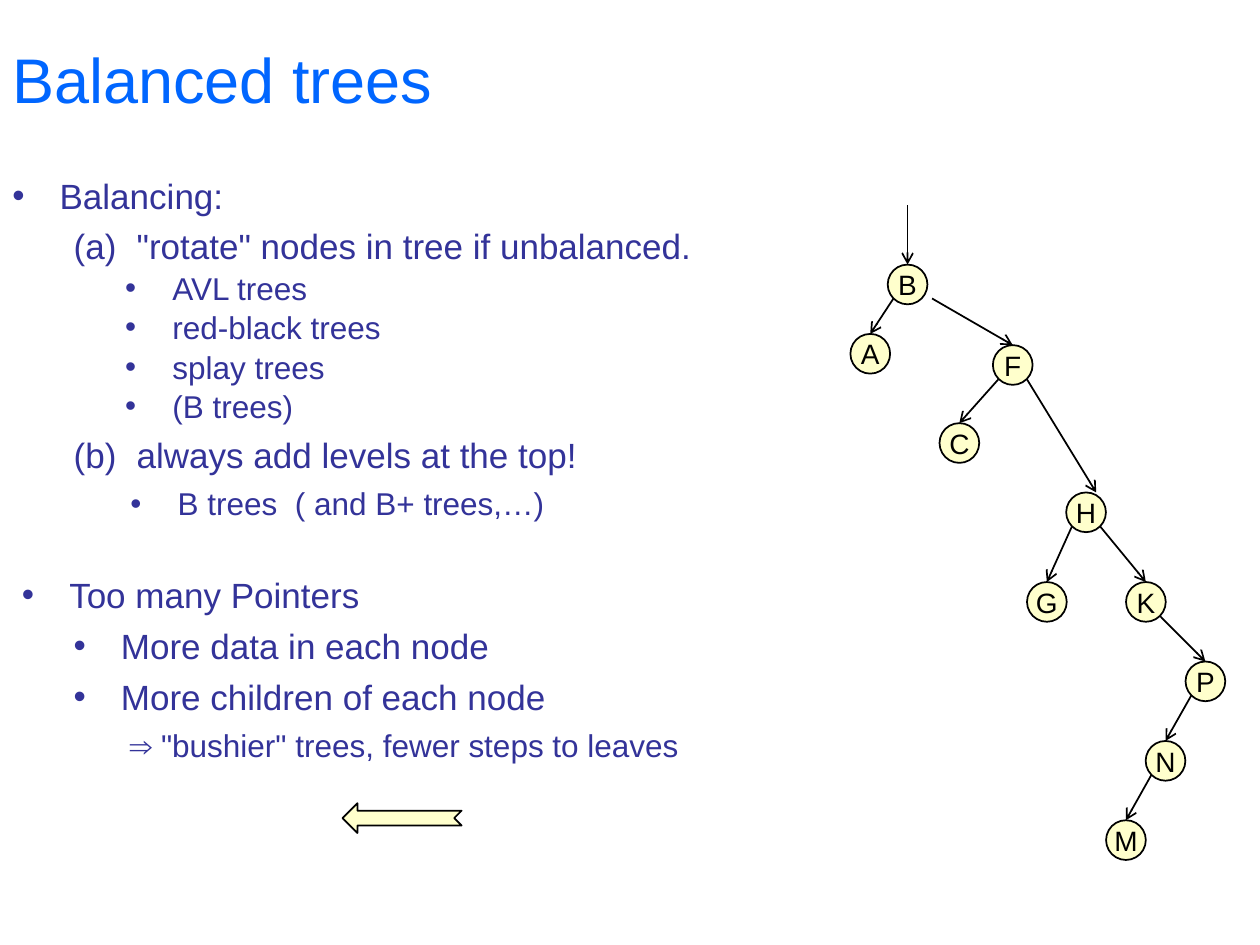
import pptx
import pptx.util
import pptx.dml.color
import pptx.enum.shapes
import pptx.enum.text
from lxml import etree

Pt = pptx.util.Pt
ANCHOR = pptx.enum.text.MSO_ANCHOR
SHAPE = pptx.enum.shapes.MSO_SHAPE
FONT = "Arial"
COLORS = {"title": "0066FF", "body": "333399", "node": "FFFFCC", "ink": "000000"}

# Content: text, level, size, left margin, hanging indent, space before, bullet
TITLE = "Balanced trees"
LINES = [
    ("Balancing:", 0, 20, 27, 27, 0, "•"),
    ('"rotate" nodes in tree if unbalanced.', 1, 20, 71, 36, 5, 1),
    ("AVL trees", 2, 18, 91.5, 27, 1, "•"),
    ("red-black trees", 2, 18, 91.5, 27, 1, "•"),
    ("splay trees", 2, 18, 91.5, 27, 1, "•"),
    ("(B trees)", 2, 18, 91.5, 27, 1, "•"),
    ("always add levels at the top!", 1, 20, 71, 36, 5, 2),
    ("B trees  ( and B+ trees,…)", 2, 18, 94.5, 27, 5, "•"),
    ("Too many Pointers", 0, 20, 32.5, 27, 29.5, "•"),
    ("More data in each node", 1, 20, 62, 27, 5, "•"),
    ("More children of each node", 1, 20, 62, 27, 5, "•"),
    ('⇒ "bushier" trees, fewer steps to leaves', 2, 18, 67, 0, 5, None),
]

# Tree nodes: centre x and top y
NODES = {
    "B": (518.6, 151.2), "A": (497.3, 190.8), "F": (578.7, 197.2),
    "C": (548.2, 241.8), "H": (620.6, 281.4), "G": (598.2, 332.6),
    "K": (654.8, 332.6), "P": (688.8, 378), "N": (666, 423.4), "M": (643.4, 468.7),
}
# Tree edges: parent, child, shift of the start x, shift of the end x
EDGES = [
    ("B", "A", 0, 0), ("B", "F", 6, 0), ("F", "C", 0, 0), ("F", "H", 0, 5.8),
    ("H", "G", 0, 0), ("H", "K", 0, 0), ("K", "P", 0, 0), ("P", "N", 0, 0),
    ("N", "M", 0, 0),
]
DIAMETER = 22.7
REACH = DIAMETER / 2 * 0.707  # 45-degree point on a node's rim
ROOT_ARROW_LENGTH = 34


def rgb(name):
    return pptx.dml.color.RGBColor.from_string(COLORS[name])


def add_child(parent, tag, **attributes):
    return etree.SubElement(parent, pptx.oxml.ns.qn(tag), attributes)


def add_span(para, text, size, color):
    span = para.add_run()
    span.text = text
    span.font.name = FONT
    span.font.size = Pt(size)
    span.font.color.rgb = rgb(color)


def add_box(page, left, top, width, height, anchor):
    box = page.shapes.add_textbox(Pt(left), Pt(top), Pt(width), Pt(height))
    box.text_frame.word_wrap = True
    box.text_frame.vertical_anchor = anchor
    return box.text_frame


def set_bullet(para, left, hanging, bullet):
    properties = para._p.get_or_add_pPr()
    properties.set("marL", str(Pt(left)))
    properties.set("indent", str(-Pt(hanging)))
    if bullet is None:
        add_child(properties, "a:buNone")
    elif isinstance(bullet, int):
        add_child(properties, "a:buFont", typeface=FONT)
        add_child(properties, "a:buAutoNum", type="alphaLcParenBoth", startAt=str(bullet))
    else:
        add_child(properties, "a:buFont", typeface=FONT)
        add_child(properties, "a:buChar", char=bullet)


def add_shape(page, kind, left, top, width, height):
    shape = page.shapes.add_shape(kind, Pt(left), Pt(top), Pt(width), Pt(height))
    shape.shadow.inherit = False
    shape.fill.solid()
    shape.fill.fore_color.rgb = rgb("node")
    shape.line.color.rgb = rgb("ink")
    shape.line.width = Pt(1)
    return shape


def add_arrow(page, *ends):
    arrow = page.shapes.add_connector(
        pptx.enum.shapes.MSO_CONNECTOR.STRAIGHT, *[Pt(value) for value in ends])
    arrow.line.color.rgb = rgb("ink")
    arrow.line.width = Pt(1)
    add_child(arrow.line._get_or_add_ln(), "a:tailEnd", type="arrow")
    add_child(arrow._element.spPr, "a:effectLst")


def add_node(page, label, center, top):
    node = add_shape(page, SHAPE.OVAL, center - DIAMETER / 2, top, DIAMETER, DIAMETER)
    frame = node.text_frame
    frame.margin_left = frame.margin_right = frame.margin_top = frame.margin_bottom = 0
    frame.word_wrap = False
    frame.vertical_anchor = ANCHOR.MIDDLE
    para = frame.paragraphs[0]
    para.alignment = pptx.enum.text.PP_ALIGN.CENTER
    add_span(para, label, 16, "ink")


def main():
    deck = pptx.Presentation()
    deck.slide_width, deck.slide_height = Pt(720), Pt(540)
    page = deck.slides.add_slide(deck.slide_layouts[6])

    # Title
    frame = add_box(page, 0, 0, 720, 90, ANCHOR.MIDDLE)
    add_span(frame.paragraphs[0], TITLE, 36, "title")

    # Outline
    frame = add_box(page, 0, 94.5, 720, 445.5, ANCHOR.TOP)
    frame.margin_top = Pt(5)
    for index, (text, level, size, left, hanging, before, bullet) in enumerate(LINES):
        para = frame.add_paragraph() if index else frame.paragraphs[0]
        para.level = level
        para.space_before = Pt(before)
        set_bullet(para, left, hanging, bullet)
        add_span(para, text, size, "body")

    # Notched arrow pointing left
    pointer = add_shape(page, SHAPE.NOTCHED_RIGHT_ARROW, 195.8, 459, 68, 17)
    pointer._element.spPr.xfrm.set("flipH", "1")

    # Tree
    for label, (center, top) in NODES.items():
        add_node(page, label, center, top)
    root_x, root_y = NODES["B"]
    add_arrow(page, root_x, root_y - ROOT_ARROW_LENGTH, root_x, root_y)
    for parent, child, start_shift, end_shift in EDGES:
        parent_x, parent_y = NODES[parent]
        child_x, child_y = NODES[child]
        side = REACH if child_x > parent_x else -REACH
        add_arrow(page, parent_x + side + start_shift, parent_y + DIAMETER / 2 + REACH,
                  child_x + end_shift, child_y)

    deck.save("out.pptx")


if __name__ == "__main__":
    main()
